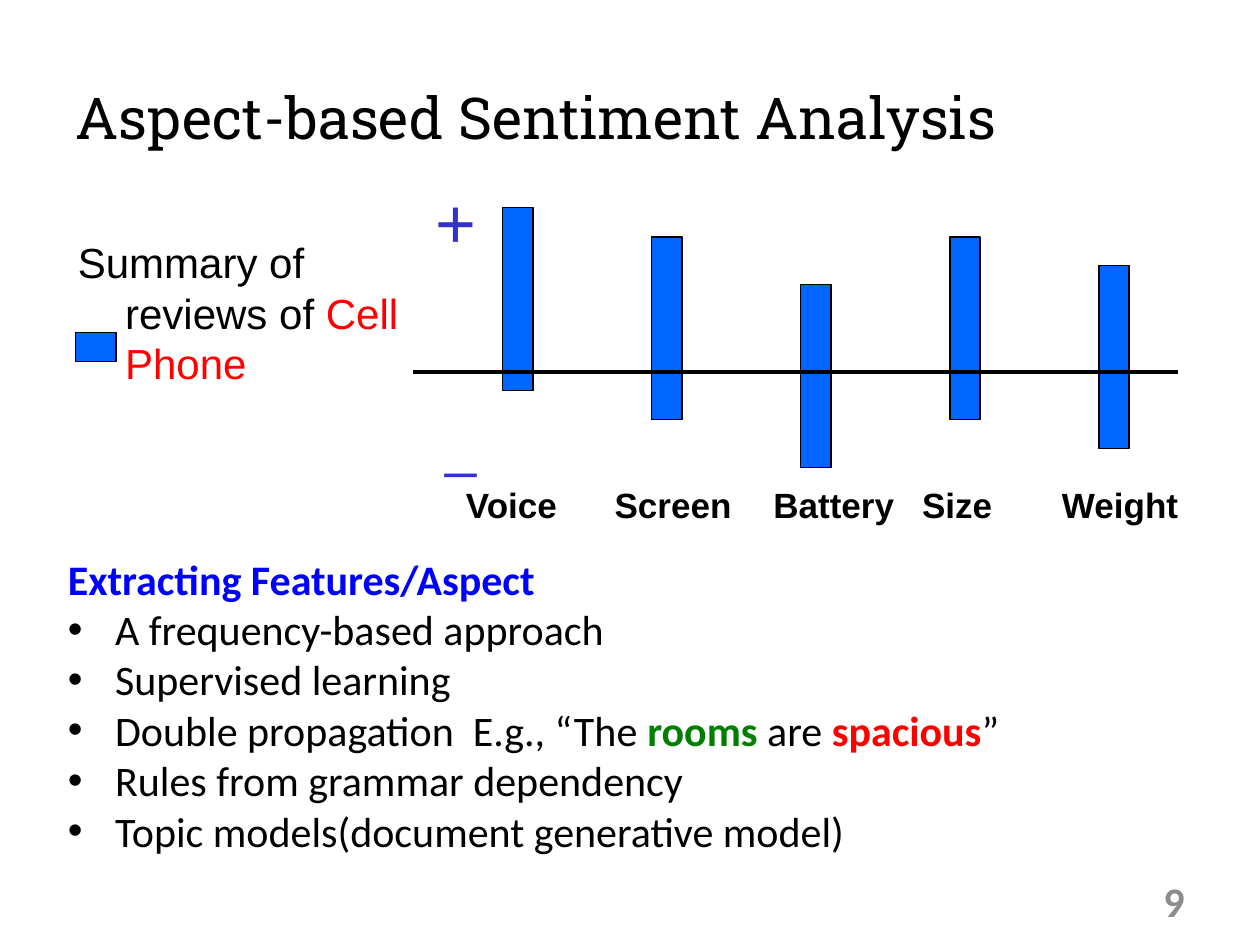
"""Builds a slide on aspect-based sentiment analysis with a review bar diagram."""
from lxml import etree
from pptx import Presentation
from pptx.dml.color import RGBColor
from pptx.enum.shapes import MSO_CONNECTOR, MSO_SHAPE
from pptx.enum.text import MSO_ANCHOR, PP_ALIGN
from pptx.oxml.ns import qn
from pptx.util import Inches, Pt

RECTANGLE = MSO_SHAPE.RECTANGLE
STRAIGHT = MSO_CONNECTOR.STRAIGHT
TOP, MIDDLE = MSO_ANCHOR.TOP, MSO_ANCHOR.MIDDLE
LEFT, RIGHT = PP_ALIGN.LEFT, PP_ALIGN.RIGHT
COLORS = {"black": "000000", "bar": "0066FF", "sign": "3333CC", "heading": "0000FF",
          "aspect": "008000", "opinion": "FF0000", "page": "8C8C8C"}

deck = Presentation()
deck.slide_width, deck.slide_height = Inches(10), Inches(7.5)
COL, ROW = deck.slide_width / 100, deck.slide_height / 100
HANGING = int(3.75 * COL)
slide = deck.slides.add_slide(deck.slide_layouts[6])


def add_text(area, paragraphs, font, size, hanging=False, anchor=TOP, align=LEFT):
    left, top, width, height = area
    box = slide.shapes.add_textbox(int(left * COL), int(top * ROW), int(width * COL), int(height * ROW))
    frame = box.text_frame
    frame.word_wrap = True
    frame.vertical_anchor = anchor
    frame.text = "\n".join("".join(part[0] for part in parts) for parts in paragraphs)
    for paragraph, parts in zip(frame.paragraphs, paragraphs):
        paragraph.text = ""
        paragraph.alignment = align
        if hanging:
            properties = paragraph._p.get_or_add_pPr()
            properties.set("marL", str(HANGING))
            properties.set("indent", str(-HANGING))
        for words, color, bold in parts:
            run = paragraph.add_run()
            run.text = words
            run.font.name = font
            run.font.size = Pt(size)
            run.font.bold = bold
            run.font.color.rgb = RGBColor.from_string(COLORS[color])
    return frame


def add_bar(left, top, width, height):
    bar = slide.shapes.add_shape(RECTANGLE, int(left * COL), int(top * ROW), int(width * COL), int(height * ROW))
    bar.shadow.inherit = False
    bar.fill.solid()
    bar.fill.fore_color.rgb = RGBColor.from_string(COLORS["bar"])
    bar.line.color.rgb = RGBColor.from_string(COLORS["black"])
    bar.line.width = Pt(0.75)


add_text((5, 4, 90, 16.67), [[("Aspect-based Sentiment Analysis", "black", False)]],
         "Roboto Slab", 33, anchor=MIDDLE)

aspects = [("Voice", 22, 36, 17.3), ("Screen", 25.07, 47.8, 17.3), ("Battery", 30.13, 60.4, 17.3),
           ("Size", 25.07, 72.2, 8.7), ("Weight", 28.13, 83.3, 11.9)]
for index, (aspect, bar_top, label_left, label_width) in enumerate(aspects):
    add_bar(39.9 + 11.83 * index, bar_top, 2.4, 19.33)
    add_text((label_left, 50.53, label_width, 6.13), [[(aspect, "black", True)]], "Arial", 20, hanging=True)

neutral_y = int(39.33 * ROW)
neutral_axis = slide.shapes.add_connector(STRAIGHT, int(32.8 * COL), neutral_y, int(93.5 * COL), neutral_y)
neutral_axis.line.color.rgb = RGBColor.from_string(COLORS["black"])
neutral_axis.line.width = Pt(2.25)
etree.SubElement(neutral_axis._element.spPr, qn("a:effectLst"))

for sign, left, top, size in [("+", 33.6, 18.27, 40), ("_", 34.4, 42.8, 32)]:
    add_text((left, top, 7.1, 9), [[(sign, "sign", False)]], "Arial", size, hanging=True)

add_text((5.2, 24.4, 28.4, 16.13),
         [[("Summary of reviews of ", "black", False), ("Cell Phone", "opinion", False)]],
         "Arial", 24, hanging=True)
add_bar(6, 35.2, 3.2, 3.07)

methods = [
    [("Extracting Features/Aspect", "heading", True)],
    [("A frequency-based approach", "black", False)],
    [("Supervised learning", "black", False)],
    [("Double propagation  E.g., “The ", "black", False), ("rooms", "aspect", True),
     (" are ", "black", False), ("spacious", "opinion", True), ("”", "black", False)],
    [("Rules from grammar dependency", "black", False)],
    [("Topic models(document generative model)", "black", False)],
]
method_list = add_text((4.4, 57.87, 76.5, 33.6), methods, "Calibri", 24)
for method in method_list.paragraphs[1:]:
    properties = method._p.get_or_add_pPr()
    properties.set("marL", str(HANGING))
    properties.set("indent", str(-HANGING))
    etree.SubElement(properties, qn("a:buFont"), typeface="Arial")
    etree.SubElement(properties, qn("a:buChar"), char="•")

add_text((71.7, 92.67, 23.3, 5.33), [[("9", "page", True)]], "Calibri", 24, anchor=MIDDLE, align=RIGHT)

deck.save("out.pptx")
